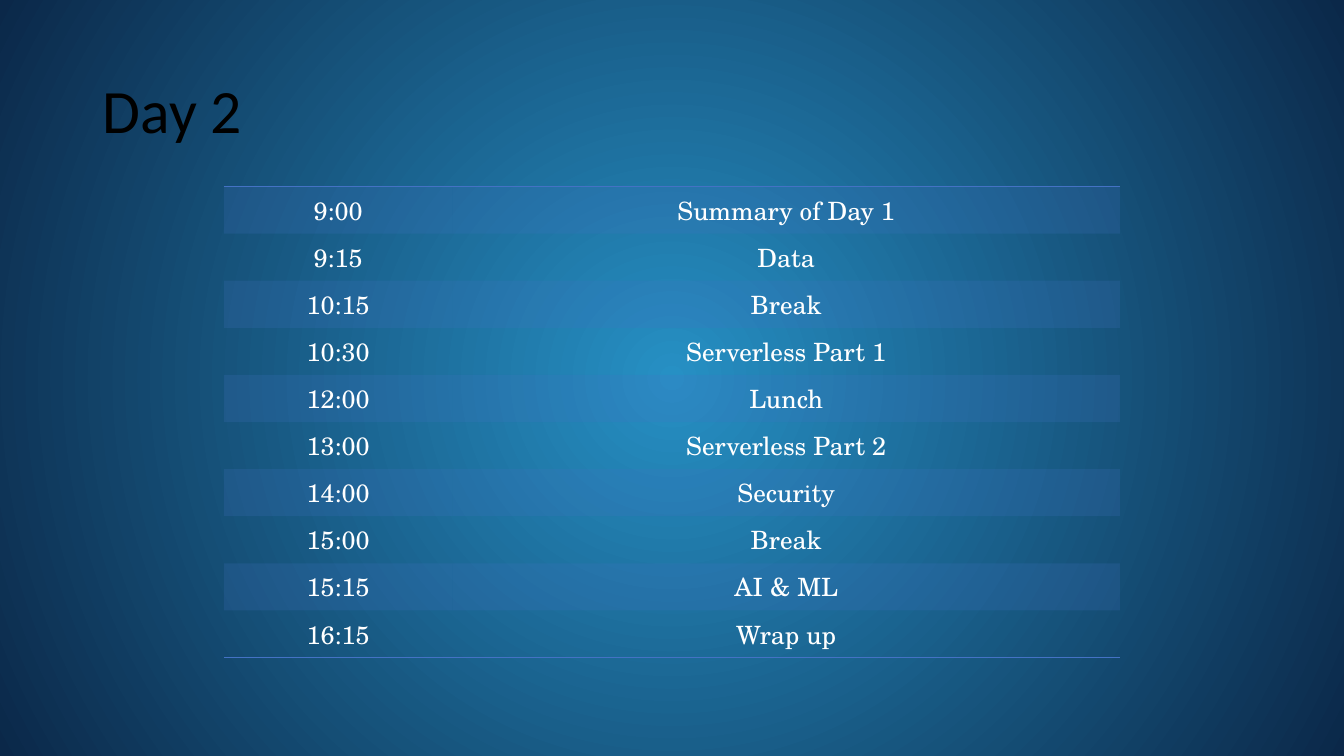
from lxml import etree
from pptx import Presentation
from pptx.dml.color import RGBColor
from pptx.enum.text import MSO_ANCHOR, PP_ALIGN
from pptx.oxml import parse_xml
from pptx.oxml.ns import nsdecls, qn
from pptx.util import Inches, Pt

LEFT, MID = PP_ALIGN.LEFT, PP_ALIGN.CENTER
MIDDLE = MSO_ANCHOR.MIDDLE

GLOW = RGBColor(0x26, 0x90, 0xC4)
NAVY = RGBColor(0x0B, 0x28, 0x49)
BLUE = RGBColor(0x44, 0x72, 0xC4)
WHITE = RGBColor(0xFF, 0xFF, 0xFF)
BLACK = RGBColor(0x00, 0x00, 0x00)

NO_GRID = "{2D5ABB26-0587-4C30-8999-92F81FD0307C}"
WIDE, HIGH = Inches(13.33), Inches(7.5)

AGENDA = [
    ("9:00", "Summary of Day 1"),
    ("9:15", "Data"),
    ("10:15", "Break"),
    ("10:30", "Serverless Part 1"),
    ("12:00", "Lunch"),
    ("13:00", "Serverless Part 2"),
    ("14:00", "Security"),
    ("15:00", "Break"),
    ("15:15", "AI & ML"),
    ("16:15", "Wrap up"),
]


def write(frame, text, font, size, color, align=LEFT, space=None):
    """Put one formatted paragraph into a text frame."""
    para = frame.paragraphs[0]
    para.alignment = align
    para.line_spacing = space
    run = para.add_run()
    run.text = text
    run.font.name = font
    run.font.size = Pt(size)
    run.font.color.rgb = color


def paint_back(slide):
    """Radial glow from the centre of the slide."""
    fill = slide.background.fill
    fill.gradient()
    for stop, color in zip(fill.gradient_stops, (GLOW, NAVY)):
        stop.color.rgb = color
    grad = slide.element.xpath(".//p:bg//a:gradFill")[0]
    for line in grad.findall(qn("a:lin")):
        grad.remove(line)
    grad.find(qn("a:gsLst")).addnext(parse_xml(
        f'<a:path {nsdecls("a")} path="circle"><a:fillToRect '
        'l="50000" t="50000" r="50000" b="50000"/></a:path>'))


def add_title(slide, text, box):
    title = slide.shapes.title
    title.left, title.top, title.width, title.height = box
    title.text_frame.vertical_anchor = MIDDLE
    write(title.text_frame, text, font="Calibri", size=44, color=BLACK,
          space=0.9)


def add_rule(props, side):
    """Draw a one-point border on a cell: side is lnT or lnB."""
    props.insert(0, parse_xml(
        f'<a:{side} {nsdecls("a")} w="{Pt(1)}"><a:solidFill>'
        f'<a:srgbClr val="{BLUE}"/></a:solidFill></a:{side}>'))


def add_agenda(slide, rows, box):
    left, top, width, height = box
    frame = slide.shapes.add_table(len(rows), 2, left, top, width, height)
    table = frame.table
    table.first_row = table.horz_banding = False
    frame.element.xpath(".//a:tableStyleId")[0].text = NO_GRID

    # Time column takes about a quarter of the width
    table.columns[0].width = int(width * 0.255)
    table.columns[1].width = width - table.columns[0].width

    # Text and bands on every other row
    for num, row in enumerate(rows):
        for col, text in enumerate(row):
            cell = table.cell(num, col)
            write(cell.text_frame, text, font="TeX Gyre Schola", size=18,
                  color=WHITE, align=MID)
            if num % 2:
                cell.fill.background()
            else:
                cell.fill.solid()
                cell.fill.fore_color.rgb = BLUE

    # See-through bands
    for tint in frame.element.xpath(".//a:tcPr/a:solidFill/a:srgbClr"):
        etree.SubElement(tint, qn("a:alpha")).set("val", "20000")

    # Rules above and below the table
    cells = frame.element.xpath(".//a:tcPr")
    for props in cells[:2]:
        add_rule(props, "lnT")
    for props in cells[-2:]:
        add_rule(props, "lnB")


def main():
    deck = Presentation()
    deck.slide_width, deck.slide_height = WIDE, HIGH
    slide = deck.slides.add_slide(deck.slide_layouts[5])
    paint_back(slide)
    add_title(slide, "Day 2",
              (Inches(0.92), Inches(0.4), Inches(11.5), Inches(1.45)))
    add_agenda(slide, AGENDA,
               (WIDE // 6, Inches(1.85), WIDE * 2 // 3, Inches(4.06)))
    deck.save("out.pptx")


if __name__ == "__main__":
    main()
